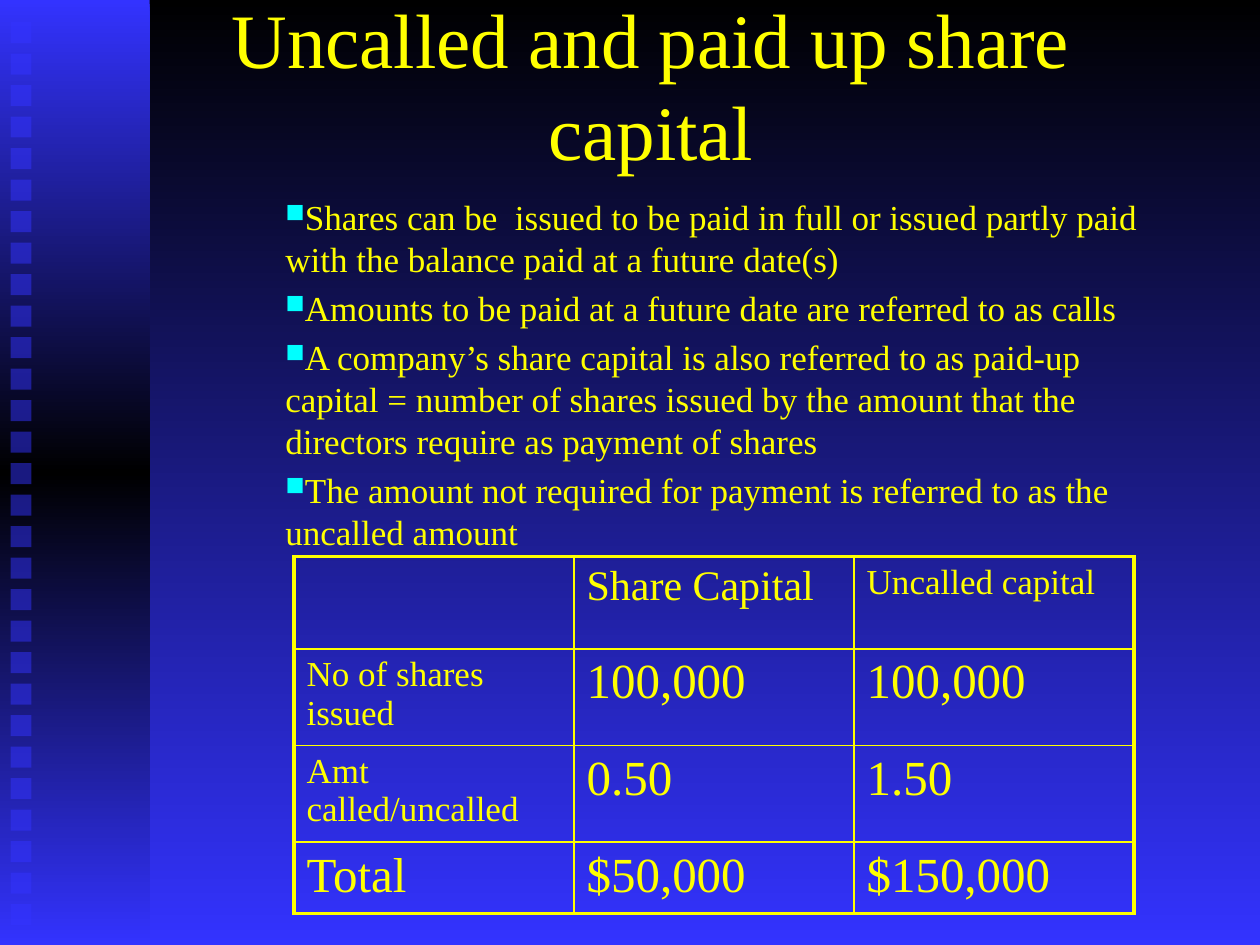
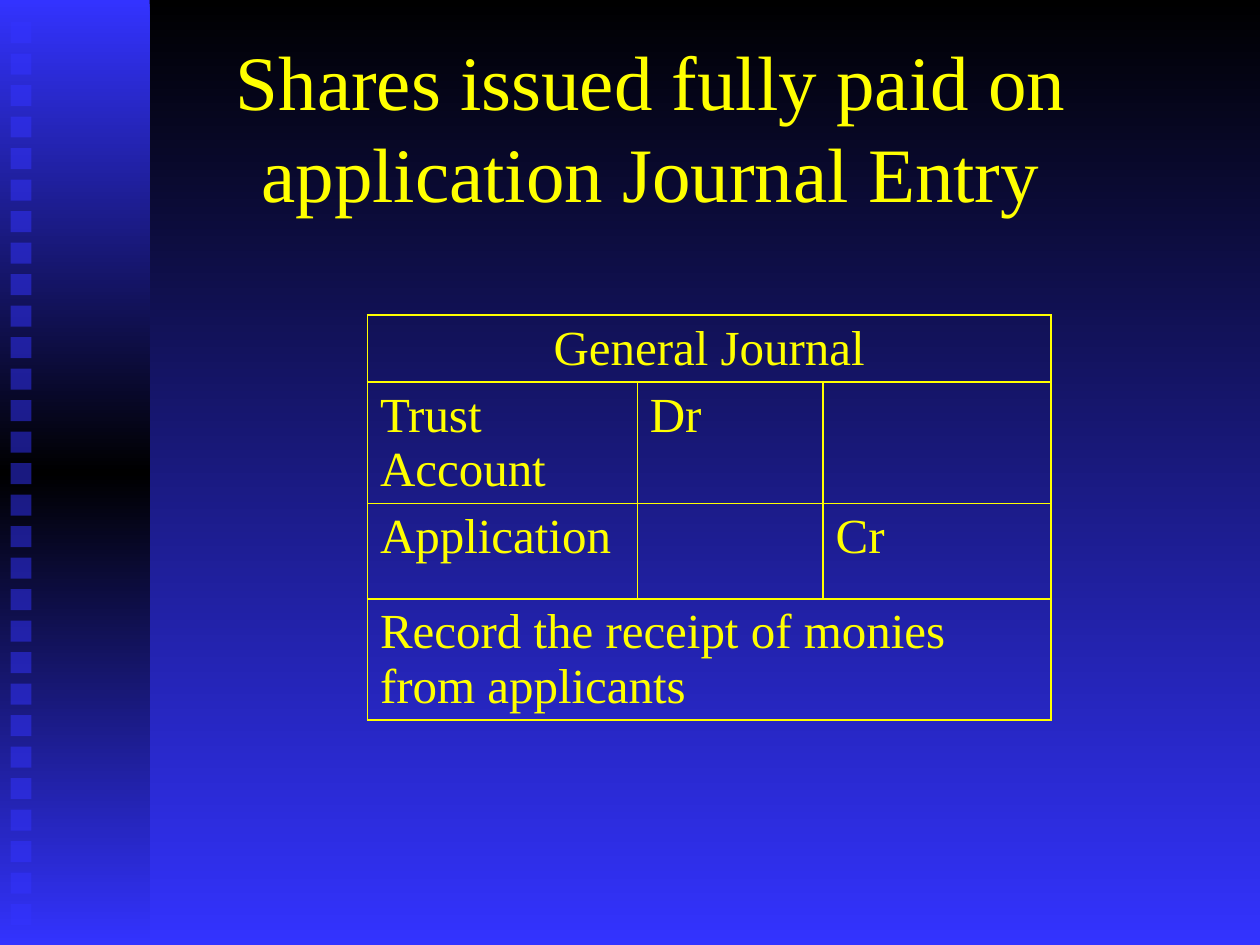
from dataclasses import dataclass

from lxml import etree
from pptx import Presentation
from pptx import util as u
from pptx.dml.color import RGBColor
from pptx.enum import shapes, text
from pptx.oxml.ns import qn


@dataclass(frozen=True)
class Theme:
    font: str = "Times New Roman"
    ink: str = "FFFF00"
    bullet: str = "00FFFF"
    blue: str = "3333FF"
    black: str = "000000"
    title: int = 44
    figure: int = 28
    heading: int = 24
    body: int = 20
    thin: float = 1
    thick: float = 2.25


THEME = Theme()
TITLE_ONLY = 5
SQUARE_COUNT = 29


def grid(count):
    """Length of a number of grid columns or rows, twelve to the inch."""
    return u.Inches(count / 12)


def add_xml(parent, tag, **attributes):
    return etree.SubElement(parent, qn(tag), attributes)


def style_paragraph(paragraph, size, alignment=text.PP_ALIGN.LEFT):
    paragraph.alignment = alignment
    for run in paragraph.runs:
        run.font.name = THEME.font
        run.font.size = u.Pt(size)
        run.font.color.rgb = RGBColor.from_string(THEME.ink)


# Background and side band
def paint_gradient(fill, element, colours):
    """Spread the colours evenly from top to bottom."""
    fill.gradient()
    fill.gradient_angle = 270
    stops = element.find(".//" + qn("a:gsLst"))
    stops.clear()
    for index, colour in enumerate(colours):
        position = 100000 * index // (len(colours) - 1)
        stop = add_xml(stops, "a:gs", pos=str(position))
        add_xml(stop, "a:srgbClr", val=colour)


def add_rectangle(slide, left, top, width, height):
    shape = slide.shapes.add_shape(
        shapes.MSO_SHAPE.RECTANGLE, grid(left), grid(top), grid(width), grid(height))
    shape.shadow.inherit = False
    shape.line.fill.background()
    return shape


def add_side_band(slide):
    band = add_rectangle(slide, 0, 0, 14.25, 90)
    paint_gradient(band.fill, band.element, [THEME.blue, THEME.black, THEME.blue])
    for index in range(SQUARE_COUNT):
        square = add_rectangle(slide, 1, 2.1 + 3 * index, 2, 2)
        square.fill.solid()
        square.fill.fore_color.rgb = RGBColor.from_string(THEME.blue)
        colour = square.element.spPr.find(".//" + qn("a:srgbClr"))
        add_xml(colour, "a:alpha", val="50000")


# Slide with its title
def add_titled_slide(presentation, heading, top):
    slide = presentation.slides.add_slide(presentation.slide_layouts[TITLE_ONLY])
    paint_gradient(slide.background.fill, slide.element, [THEME.black, THEME.blue])
    add_side_band(slide)
    title = slide.shapes.title
    title.left, title.top = grid(11), grid(top)
    title.width, title.height = grid(102), grid(16)
    frame = title.text_frame
    frame.text = heading
    frame.word_wrap = True
    frame.auto_size = text.MSO_AUTO_SIZE.NONE
    frame.vertical_anchor = text.MSO_ANCHOR.MIDDLE
    style_paragraph(frame.paragraphs[0], THEME.title, text.PP_ALIGN.CENTER)
    return slide


# Bulleted text
def add_bullets(slide, left, top, width, height, items):
    box = slide.shapes.add_textbox(grid(left), grid(top), grid(width), grid(height))
    frame = box.text_frame
    frame.word_wrap = True
    frame.text = "\n".join(items)
    for index, paragraph in enumerate(frame.paragraphs):
        properties = paragraph._p.get_or_add_pPr()
        colour = add_xml(properties, "a:buClr")
        add_xml(colour, "a:srgbClr", val=THEME.bullet)
        add_xml(properties, "a:buSzPct", val="75000")
        add_xml(properties, "a:buChar", char="■")
        if index:
            paragraph.space_before = u.Pt(0.2 * THEME.body)
        style_paragraph(paragraph, THEME.body)


# Ruled tables
def rule_cell(cell, widths):
    """Draw the left, right, top and bottom rules in the given widths."""
    properties = cell._tc.get_or_add_tcPr()
    for index, (side, width) in enumerate(zip("LRTB", widths)):
        line = etree.Element(qn(f"a:ln{side}"), w=str(u.Pt(width)))
        fill = add_xml(line, "a:solidFill")
        add_xml(fill, "a:srgbClr", val=THEME.ink)
        properties.insert(index, line)


def add_ruled_table(slide, left, top, columns, rows, content, frame_width):
    """Content holds rows of (text, size) pairs; a one-cell row spans the table."""
    table = slide.shapes.add_table(
        len(rows), len(columns), grid(left), grid(top),
        grid(sum(columns)), grid(sum(rows))).table
    table.first_row = table.horz_banding = False
    for column, width in zip(table.columns, columns):
        column.width = grid(width)
    for row, height in zip(table.rows, rows):
        row.height = grid(height)

    last_row, last_column = len(rows) - 1, len(columns) - 1
    for r in range(len(rows)):
        for c in range(len(columns)):
            cell = table.cell(r, c)
            cell.fill.background()
            on_frame = (c == 0, c == last_column, r == 0, r == last_row)
            rule_cell(cell, [frame_width if edge else THEME.thin for edge in on_frame])
        if len(content[r]) == 1:
            table.cell(r, 0).merge(table.cell(r, last_column))
        for c, (words, size) in enumerate(content[r]):
            frame = table.cell(r, c).text_frame
            frame.text = words
            style_paragraph(frame.paragraphs[0], size)
    return table


def add_share_capital_slide(presentation):
    slide = add_titled_slide(presentation, "Uncalled and paid up share capital", 0)
    add_bullets(slide, 26, 18, 84, 37, [
        "Shares can be  issued to be paid in full or issued partly paid with the "
        "balance paid at a future date(s)",
        "Amounts to be paid at a future date are referred to as calls",
        "A company’s share capital is also referred to as paid-up capital = number "
        "of shares issued by the amount that the directors require as payment of shares",
        "The amount not required for payment is referred to as the uncalled amount",
    ])
    body, figure = THEME.body, THEME.figure
    add_ruled_table(slide, 28, 53, [26.67] * 3, [8.8, 8.6, 8.6, 6.25], [
        [("", body), ("Share Capital", THEME.heading), ("Uncalled capital", body)],
        [("No of shares issued", body), ("100,000", figure), ("100,000", figure)],
        [("Amt called/uncalled", body), ("0.50", figure), ("1.50", figure)],
        [("Total", figure), ("$50,000", figure), ("$150,000", figure)],
    ], THEME.thick)


def add_journal_slide(presentation):
    slide = add_titled_slide(
        presentation, "Shares issued fully paid on application Journal Entry", 4)
    entries = [
        ["General Journal"],
        ["Trust Account", "Dr", ""],
        ["Application", "", "Cr"],
        ["Record the receipt of monies from applicants"],
    ]
    content = [[(words, THEME.figure) for words in row] for row in entries]
    journal = add_ruled_table(
        slide, 35, 30, [25.7, 17.7, 21.7], [6.4, 11.5, 9.1, 11.5], content, THEME.thin)
    heading = journal.cell(0, 0).text_frame.paragraphs[0]
    heading.alignment = text.PP_ALIGN.CENTER


def main():
    presentation = Presentation()
    presentation.slide_width, presentation.slide_height = grid(120), grid(90)
    add_share_capital_slide(presentation)
    add_journal_slide(presentation)
    presentation.save("out.pptx")


if __name__ == "__main__":
    main()
